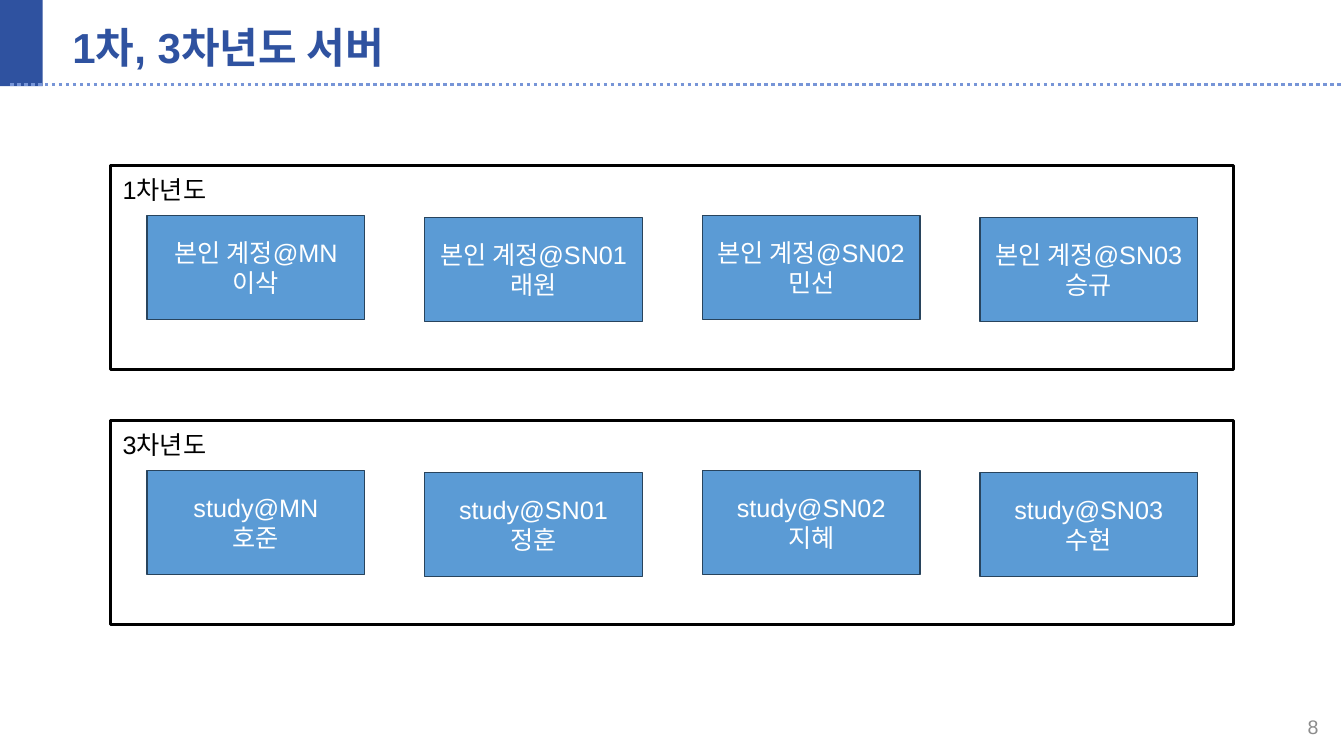
"""Build the slide that lists the servers of project years one and three."""
import pptx
import pptx.dml.color
import pptx.enum.dml
import pptx.enum.shapes
import pptx.enum.text
import pptx.oxml
import pptx.util

Pt = pptx.util.Pt
ALIGN = pptx.enum.text.PP_ALIGN
ANCHOR = pptx.enum.text.MSO_ANCHOR

TITLE = "1차, 3차년도 서버"
PAGE_NUMBER = "8"
YEARS = [
    ("1차년도", [("본인 계정@MN", "이삭"), ("본인 계정@SN01", "래원"),
              ("본인 계정@SN02", "민선"), ("본인 계정@SN03", "승규")]),
    ("3차년도", [("study@MN", "호준"), ("study@SN01", "정훈"),
              ("study@SN02", "지혜"), ("study@SN03", "수현")]),
]
THEME = {
    "font": "Arial", "title_size": 30, "body_size": 18, "page_size": 14,
    "navy": "2F52A0", "rule": "7795D7", "server": "5B9BD5", "server_edge": "28445D",
    "black": "000000", "white": "FFFFFF", "grey": "8C8C8C",
}
PANEL_LEFT, PANEL_TOP, PANEL_WIDTH, PANEL_HEIGHT = 79.2, 118, 802, 146.2
PANEL_PITCH = 182.2
SERVER_WIDTH, SERVER_HEIGHT, SERVER_PITCH = 155.5, 74.2, 198.3
SERVER_INDENT, SERVER_DROP, SERVER_STAGGER = 25.9, 36, 1.5


def color(name):
    return pptx.dml.color.RGBColor.from_string(THEME[name])


def write(holder, lines, size, ink, align=ALIGN.LEFT, anchor=ANCHOR.MIDDLE, bold=False):
    frame = holder.text_frame
    frame.text = "\n".join(lines)
    frame.word_wrap = False
    frame.vertical_anchor = anchor
    for paragraph in frame.paragraphs:
        paragraph.alignment = align
        for run in paragraph.runs:
            run.font.name = THEME["font"]
            run.font.size = Pt(THEME[size])
            run.font.bold = bold
            run.font.color.rgb = color(ink)


def add_text(slide, left, top, width, height, *args, **kwargs):
    holder = slide.shapes.add_textbox(Pt(left), Pt(top), Pt(width), Pt(height))
    write(holder, *args, **kwargs)


def add_box(slide, left, top, width, height, fill=None, edge=None, weight=1):
    box = slide.shapes.add_shape(pptx.enum.shapes.MSO_SHAPE.RECTANGLE,
                                 Pt(left), Pt(top), Pt(width), Pt(height))
    box.shadow.inherit = False
    if fill:
        box.fill.solid()
        box.fill.fore_color.rgb = color(fill)
    else:
        box.fill.background()
    if edge:
        box.line.color.rgb = color(edge)
        box.line.width = Pt(weight)
    else:
        box.line.fill.background()
    return box


def add_header(slide):
    add_box(slide, 0, 0, 30.5, 61.5, "navy")
    rule = slide.shapes.add_connector(pptx.enum.shapes.MSO_CONNECTOR.STRAIGHT,
                                      Pt(7.2), Pt(60.5), Pt(960), Pt(60.5))
    rule.line.color.rgb = color("rule")
    rule.line.width = Pt(2.5)
    rule.line.dash_style = pptx.enum.dml.MSO_LINE.ROUND_DOT
    rule._element.spPr.append(pptx.oxml.parse_xml(
        '<a:effectLst xmlns:a="http://schemas.openxmlformats.org/drawingml/2006/main"/>'))
    add_text(slide, 44.6, 14.4, 828, 38.2, [TITLE], "title_size", "navy", bold=True)


def add_year(slide, top, year, servers):
    for column, server in enumerate(servers):
        box = add_box(slide, PANEL_LEFT + SERVER_INDENT + column * SERVER_PITCH,
                      top + SERVER_DROP + column % 2 * SERVER_STAGGER,
                      SERVER_WIDTH, SERVER_HEIGHT, "server", "server_edge")
        write(box, server, "body_size", "white", ALIGN.CENTER)
    add_box(slide, PANEL_LEFT, top, PANEL_WIDTH, PANEL_HEIGHT, edge="black", weight=2.25)
    add_text(slide, PANEL_LEFT + 1.4, top + 3, 162.7, 51, [year],
             "body_size", "black", anchor=ANCHOR.TOP)


def main():
    deck = pptx.Presentation()
    deck.slide_width, deck.slide_height = Pt(960), Pt(540)
    slide = deck.slides.add_slide(deck.slide_layouts[6])
    add_header(slide)
    add_text(slide, 733, 504.7, 216, 28.8, [PAGE_NUMBER], "page_size", "grey", ALIGN.RIGHT)
    for row, (year, servers) in enumerate(YEARS):
        add_year(slide, PANEL_TOP + row * PANEL_PITCH, year, servers)
    deck.save("out.pptx")


if __name__ == "__main__":
    main()
